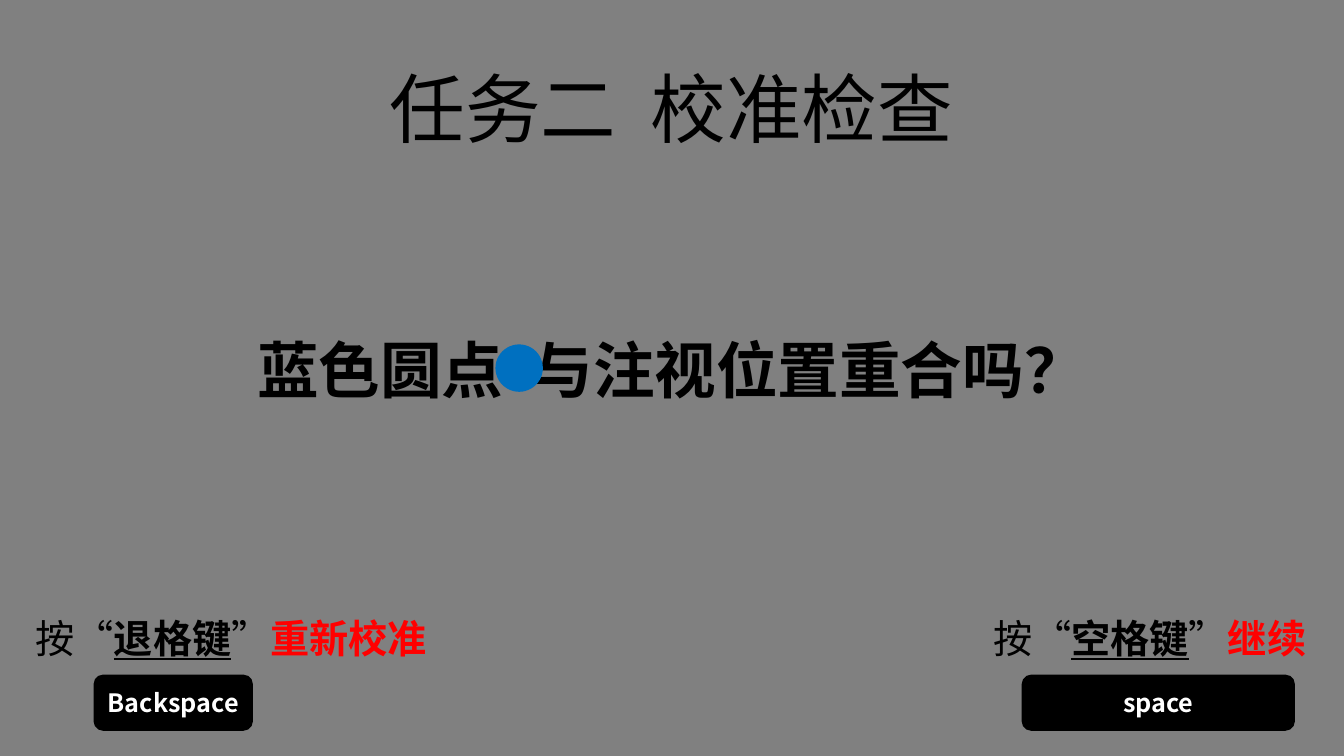
from dataclasses import dataclass

from pptx import Presentation
from pptx.dml.color import RGBColor
from pptx.enum.lang import MSO_LANGUAGE_ID
from pptx.enum.shapes import MSO_SHAPE
from pptx.enum.text import MSO_ANCHOR, MSO_AUTO_SIZE, PP_ALIGN
from pptx.oxml.ns import qn
from pptx.util import Inches, Pt

ROUNDED = MSO_SHAPE.ROUNDED_RECTANGLE
OVAL = MSO_SHAPE.OVAL
MIDDLE = MSO_ANCHOR.MIDDLE
CENTER = PP_ALIGN.CENTER
NO_FIT = MSO_AUTO_SIZE.NONE
CHINESE = MSO_LANGUAGE_ID.SIMPLIFIED_CHINESE
CELL = Inches(0.1)
COLUMNS, ROWS = 133.33, 75


@dataclass(frozen=True)
class Theme:
    """Colours, font and type sizes of the slide."""
    font: str = "Noto Sans CJK SC"
    ground: str = "808080"
    ink: str = "000000"
    light: str = "FFFFFF"
    action: str = "FF0000"
    dot: str = "0070C0"
    title: int = 54
    question: int = 44
    prompt: int = 28
    key: int = 18


THEME = Theme()


@dataclass(frozen=True)
class Box:
    """A rectangle measured in grid cells."""
    left: float
    top: float
    width: float
    height: float

    def inner(self, left, top, width, height):
        """Return the inner box given as shares of this one."""
        return Box(self.left + left * self.width, self.top + top * self.height,
                   width * self.width, height * self.height)

    def lengths(self):
        """Return left, top, width and height as slide lengths."""
        return [round(value * CELL) for value in (self.left, self.top, self.width, self.height)]


def add_span(para, text, size, color=THEME.ink, bold=False, underline=False):
    """Add one formatted run to a paragraph."""
    span = para.add_run()
    span.text = text
    font = span.font
    font.name, font.size, font.bold, font.underline = THEME.font, Pt(size), bold, underline
    font.color.rgb = RGBColor.from_string(color)
    font.language_id = CHINESE
    east_asian = span._r.rPr.makeelement(qn("a:ea"), {"typeface": THEME.font})
    span._r.rPr.find(qn("a:latin")).addnext(east_asian)


def centred_para(shape):
    """Prepare a shape's text frame and return its centred paragraph."""
    frame = shape.text_frame
    frame.word_wrap = True
    frame.auto_size = NO_FIT
    frame.vertical_anchor = MIDDLE
    para = frame.paragraphs[0]
    para.alignment = CENTER
    para.line_spacing = 1.0
    return para


def add_solid(page, kind, box, color):
    """Add a plain filled shape."""
    shape = page.shapes.add_shape(kind, *box.lengths())
    shape.shadow.inherit = False
    shape.fill.solid()
    shape.fill.fore_color.rgb = RGBColor.from_string(color)
    shape.line.fill.background()
    return shape


def place_title(page, box, text):
    """Move the title placeholder into the box and fill it."""
    title = page.shapes.title
    title.left, title.top, title.width, title.height = box.lengths()
    add_span(centred_para(title), text, THEME.title)


def add_question(page, box, text):
    """Add the question with the gaze dot in its gap."""
    para = centred_para(page.shapes.add_textbox(*box.lengths()))
    add_span(para, text, THEME.question, bold=True)
    dot = box.inner(0.3, 0.21, 0, 0.56)
    add_solid(page, OVAL, Box(dot.left, dot.top, dot.height, dot.height), THEME.dot)


def add_key_prompt(page, box, key_name, action, key_label, key_left, key_width):
    """Add a key instruction above a drawing of the key."""
    para = centred_para(page.shapes.add_textbox(*box.inner(0, 0, 1, 0.47).lengths()))
    add_span(para, "按“", THEME.prompt)
    add_span(para, key_name, THEME.prompt, bold=True, underline=True)
    add_span(para, "”", THEME.prompt)
    add_span(para, action, THEME.prompt, color=THEME.action, bold=True)
    key = add_solid(page, ROUNDED, box.inner(key_left, 0.54, key_width, 0.46), THEME.ink)
    add_span(centred_para(key), key_label, THEME.key, color=THEME.light, bold=True)


def build_check_slide(deck):
    """Build the calibration check slide."""
    page = deck.slides.add_slide(deck.slide_layouts[5])
    fill = page.background.fill
    fill.solid()
    fill.fore_color.rgb = RGBColor.from_string(THEME.ground)
    place_title(page, Box(29.8, 5.6, 73.6, 10.1), "任务二  校准检查")
    add_key_prompt(page, Box(96.9, 60.4, 34.3, 12.1), "空格键", "继续", "space", 0.13, 0.79)
    add_key_prompt(page, Box(1.6, 60.4, 42.7, 12.1), "退格键", "重新校准", "Backspace", 0.18, 0.37)
    add_question(page, Box(22.9, 32.4, 87.5, 8.4), "蓝色圆点  与注视位置重合吗？")


def main():
    """Create and save the deck."""
    deck = Presentation()
    deck.slide_width, deck.slide_height = round(COLUMNS * CELL), ROWS * CELL
    build_check_slide(deck)
    deck.save("out.pptx")


if __name__ == "__main__":
    main()
